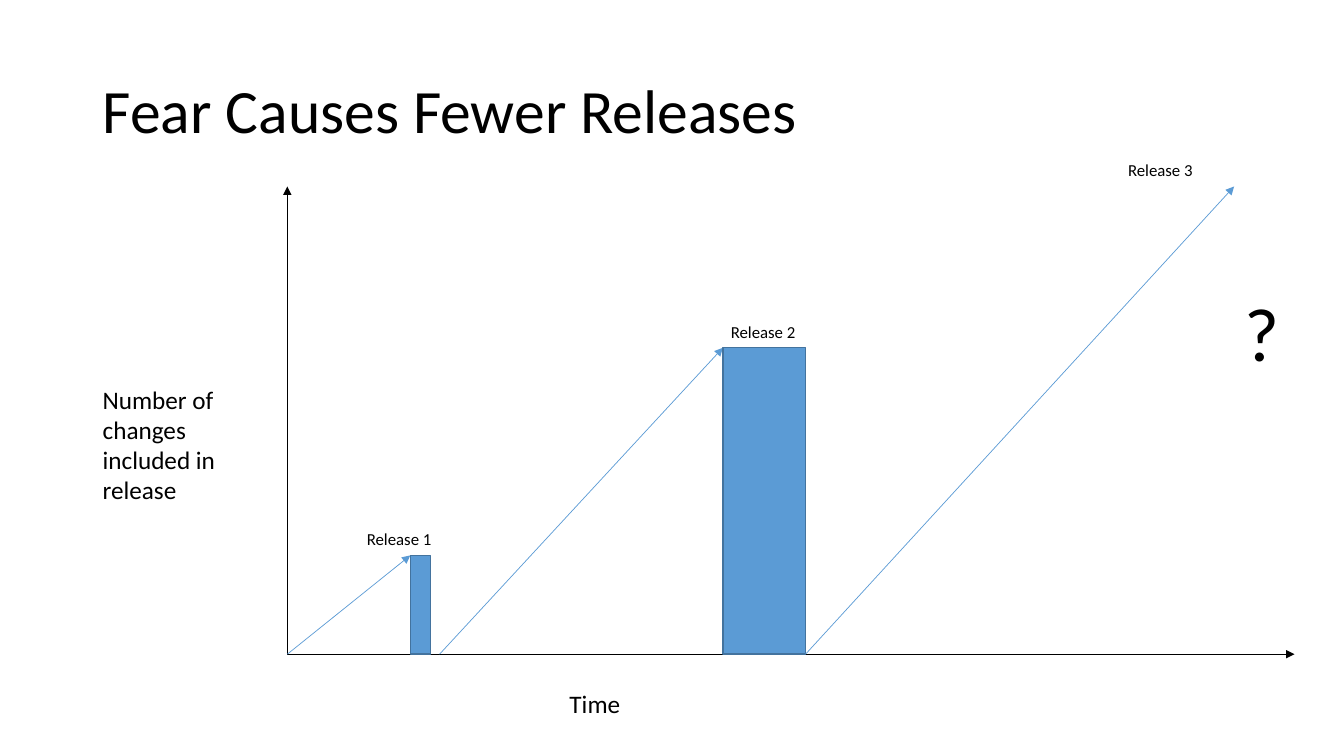
from lxml import etree
from pptx import Presentation
from pptx.dml.color import RGBColor
from pptx.enum.shapes import MSO_CONNECTOR, MSO_SHAPE
from pptx.enum.text import MSO_ANCHOR
from pptx.oxml.ns import qn
from pptx.util import Inches, Pt

STRAIGHT = MSO_CONNECTOR.STRAIGHT
RECTANGLE = MSO_SHAPE.RECTANGLE
MIDDLE = MSO_ANCHOR.MIDDLE

WIDTH, HEIGHT = 13.33, 7.5
FONT = "Calibri"
BLACK, BLUE, DARK_BLUE = "000000", "5B9BD5", "43739E"

# Plot area: left, top, width, height
PLOT = (2.85, 1.85, 9.99, 4.64)
# Start of work, release date, bar width, number of changes, label offset;
# all in inches from the plot's origin, the label's from the arrowhead
RELEASES = [
    ("Release 1", 0, 1.22, 0.2, 0.98, -0.53),
    ("Release 2", 1.51, 4.32, 0.82, 3.04, -0.02),
    ("Release 3", 5.14, 9.39, 0, 4.64, -1.15),
]


def color(hex_string):
    return RGBColor.from_string(hex_string)


def set_font(p, size):
    p.font.name = FONT
    p.font.size = Pt(size)
    p.font.color.rgb = color(BLACK)


def add_title(s, text, box):
    title = s.shapes.title
    title.left, title.top, title.width, title.height = map(Inches, box)
    tf = title.text_frame
    tf.text = text
    tf.vertical_anchor = MIDDLE
    p = tf.paragraphs[0]
    p.line_spacing = 0.9
    p.alignment = 1
    set_font(p, 44)


def add_text(s, text, box, size):
    tf = s.shapes.add_textbox(*map(Inches, box)).text_frame
    tf.word_wrap = True
    p = tf.paragraphs[0]
    p.text = text
    set_font(p, size)


def add_arrow(s, x1, y1, x2, y2, line_color):
    arrow = s.shapes.add_connector(STRAIGHT, *map(Inches, (x1, y1, x2, y2)))
    arrow.line.color.rgb = color(line_color)
    arrow.line.width = Pt(0.5)
    etree.SubElement(arrow.line._get_or_add_ln(), qn("a:tailEnd"), type="triangle")
    etree.SubElement(arrow._element.spPr, qn("a:effectLst"))


def add_bar(s, box):
    bar = s.shapes.add_shape(RECTANGLE, *map(Inches, box))
    bar.shadow.inherit = False
    bar.fill.solid()
    bar.fill.fore_color.rgb = color(BLUE)
    bar.line.color.rgb = color(DARK_BLUE)
    bar.line.width = Pt(1)


def add_axes(s, box):
    left, top, width, height = box
    bottom = top + height
    add_arrow(s, left, bottom, left + width, bottom, BLACK)
    add_arrow(s, left, bottom, left, top, BLACK)
    add_text(s, "Time", (left + 2.7, bottom + 0.29, 2.23, 0.4), 18)
    add_text(s, "Number of changes included in release",
             (left - 1.93, top + 1.91, 1.4, 1.31), 18)


def add_releases(s, box):
    left, top, width, height = box
    bottom = top + height
    for name, start, end, bar_width, changes, label_dx in RELEASES:
        x, y = left + end, bottom - changes
        add_arrow(s, left + start, bottom, x, y, BLUE)
        add_text(s, name, (x + label_dx, y - 0.31, 1.24, 0.3), 12)
        if bar_width:
            add_bar(s, (x, y, bar_width, changes))
    add_text(s, "?", (left + width - 0.6, top + 0.94, 0.6, 1.01), 54)


def main():
    prs = Presentation()
    prs.slide_width, prs.slide_height = Inches(WIDTH), Inches(HEIGHT)
    s = prs.slides.add_slide(prs.slide_layouts[5])
    add_title(s, "Fear Causes Fewer Releases", (0.92, 0.4, 11.5, 1.45))
    add_axes(s, PLOT)
    add_releases(s, PLOT)
    prs.save("out.pptx")


if __name__ == "__main__":
    main()
